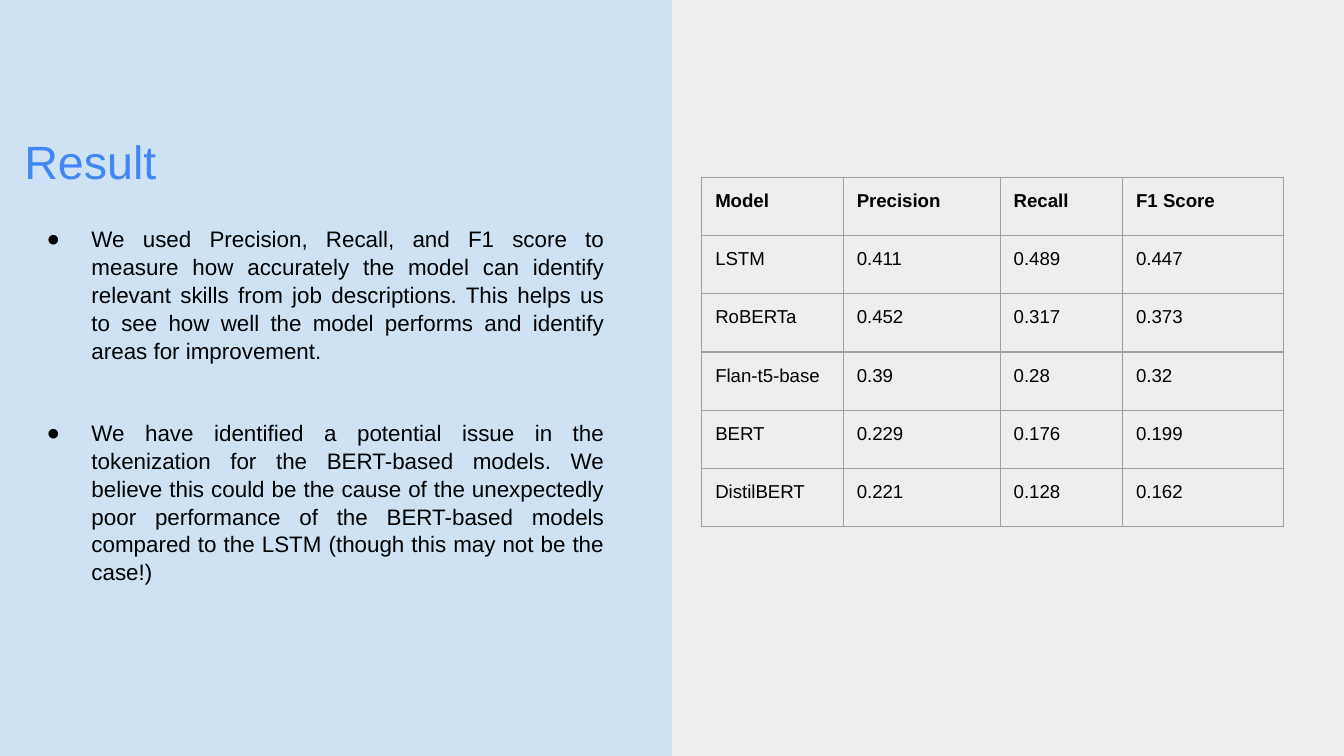
from dataclasses import dataclass

from lxml import etree
from pptx import Presentation
from pptx import util as u
from pptx.dml.color import RGBColor
from pptx.enum import shapes, text
from pptx.oxml import ns

FONT = "Arial"
INSET = 7.2
BLACK = "000000"
GRID = "9E9E9E"


@dataclass
class Area:
    left: float
    top: float
    width: float
    height: float

    def lengths(self) -> list:
        return [u.Pt(v) for v in (self.left, self.top, self.width, self.height)]


@dataclass
class Column:
    heading: str
    width: float
    values: list[str]


BULLETS = [
    "We used Precision, Recall, and F1 score to measure how accurately the model can "
    "identify relevant skills from job descriptions. This helps us to see how well the "
    "model performs and identify areas for improvement.",
    "We have identified a potential issue in the tokenization for the BERT-based models. "
    "We believe this could be the cause of the unexpectedly poor performance of the "
    "BERT-based models compared to the LSTM (though this may not be the case!)",
]
COLUMNS = [
    Column("Model", 75.8, ["LSTM", "RoBERTa", "Flan-t5-base", "BERT", "DistilBERT"]),
    Column("Precision", 84.1, ["0.411", "0.452", "0.39", "0.229", "0.221"]),
    Column("Recall", 65.6, ["0.489", "0.317", "0.28", "0.176", "0.128"]),
    Column("F1 Score", 86, ["0.447", "0.373", "0.32", "0.199", "0.162"]),
]
ROW_HEIGHT = 31.2


def color(value: str) -> RGBColor:
    return RGBColor.from_string(value)


def format_runs(para, size: float, ink: str, bold: bool = False) -> None:
    for span in para.runs:
        span.font.name = FONT
        span.font.size = u.Pt(size)
        span.font.bold = bold
        span.font.color.rgb = color(ink)


def set_insets(box) -> None:
    for side in ("left", "right", "top", "bottom"):
        setattr(box, f"margin_{side}", u.Pt(INSET))


def place(holder, area: Area):
    """Move a placeholder and give its text frame the common settings."""
    holder.left, holder.top, holder.width, holder.height = area.lengths()
    frame = holder.text_frame
    frame.word_wrap = True
    frame.auto_size = text.MSO_AUTO_SIZE.NONE
    frame.vertical_anchor = text.MSO_ANCHOR.TOP
    set_insets(frame)
    return frame


def add_bullet(para) -> None:
    props = para._p.get_or_add_pPr()
    props.set("marL", str(u.Pt(36)))
    props.set("indent", str(u.Pt(-24)))
    tint = etree.SubElement(props, ns.qn("a:buClr"))
    etree.SubElement(tint, ns.qn("a:srgbClr"), val=BLACK)
    etree.SubElement(props, ns.qn("a:buFont"), typeface=FONT)
    etree.SubElement(props, ns.qn("a:buChar"), char="●")


def add_borders(cell) -> None:
    props = cell._tc.get_or_add_tcPr()
    for index, side in enumerate(("lnL", "lnR", "lnT", "lnB")):
        line = etree.Element(ns.qn(f"a:{side}"), w=str(u.Pt(0.75)))
        fill = etree.SubElement(line, ns.qn("a:solidFill"))
        etree.SubElement(fill, ns.qn("a:srgbClr"), val=GRID)
        props.insert(index, line)


def add_scores(page, left: float, top: float, columns: list[Column]) -> None:
    count = len(columns[0].values) + 1
    area = Area(left, top, sum(c.width for c in columns), count * ROW_HEIGHT)
    table = page.shapes.add_table(count, len(columns), *area.lengths()).table
    table.first_row = table.horz_banding = False
    for row in table.rows:
        row.height = u.Pt(ROW_HEIGHT)
    for x, column in enumerate(columns):
        table.columns[x].width = u.Pt(column.width)
        for y, words in enumerate([column.heading, *column.values]):
            cell = table.cell(y, x)
            cell.text_frame.text = words
            format_runs(cell.text_frame.paragraphs[0], 10, BLACK, bold=y == 0)
            set_insets(cell)
            cell.fill.background()
            add_borders(cell)


def main() -> None:
    deck = Presentation()
    deck.slide_width, deck.slide_height = u.Pt(720), u.Pt(405)
    page = deck.slides.add_slide(deck.slide_layouts[1])

    # Background and right half
    page.background.fill.solid()
    page.background.fill.fore_color.rgb = color("CFE2F3")
    panel = page.shapes.add_shape(
        shapes.MSO_SHAPE.RECTANGLE, *Area(360, 0, 360, 405).lengths())
    panel.shadow.inherit = False
    panel.fill.solid()
    panel.fill.fore_color.rgb = color("EEEEEE")
    panel.line.fill.background()

    # Title
    frame = place(page.shapes.title, Area(5.8, 64, 236, 44.6))
    frame.text = "Result"
    frame.paragraphs[0].alignment = text.PP_ALIGN.JUSTIFY
    format_runs(frame.paragraphs[0], 25, "4285F4")

    # Bullet list
    frame = place(page.placeholders[1], Area(5.8, 113, 325.4, 203.8))
    frame.text = "\n".join(BULLETS)
    for para in frame.paragraphs:
        para.alignment = text.PP_ALIGN.JUSTIFY
        para.line_spacing = 1.04
        para.space_before = u.Pt(0)
        para.space_after = u.Pt(28.8)
        add_bullet(para)
        format_runs(para, 12, BLACK)

    # Score table
    add_scores(page, 376, 95, COLUMNS)

    deck.save("out.pptx")


if __name__ == "__main__":
    main()
